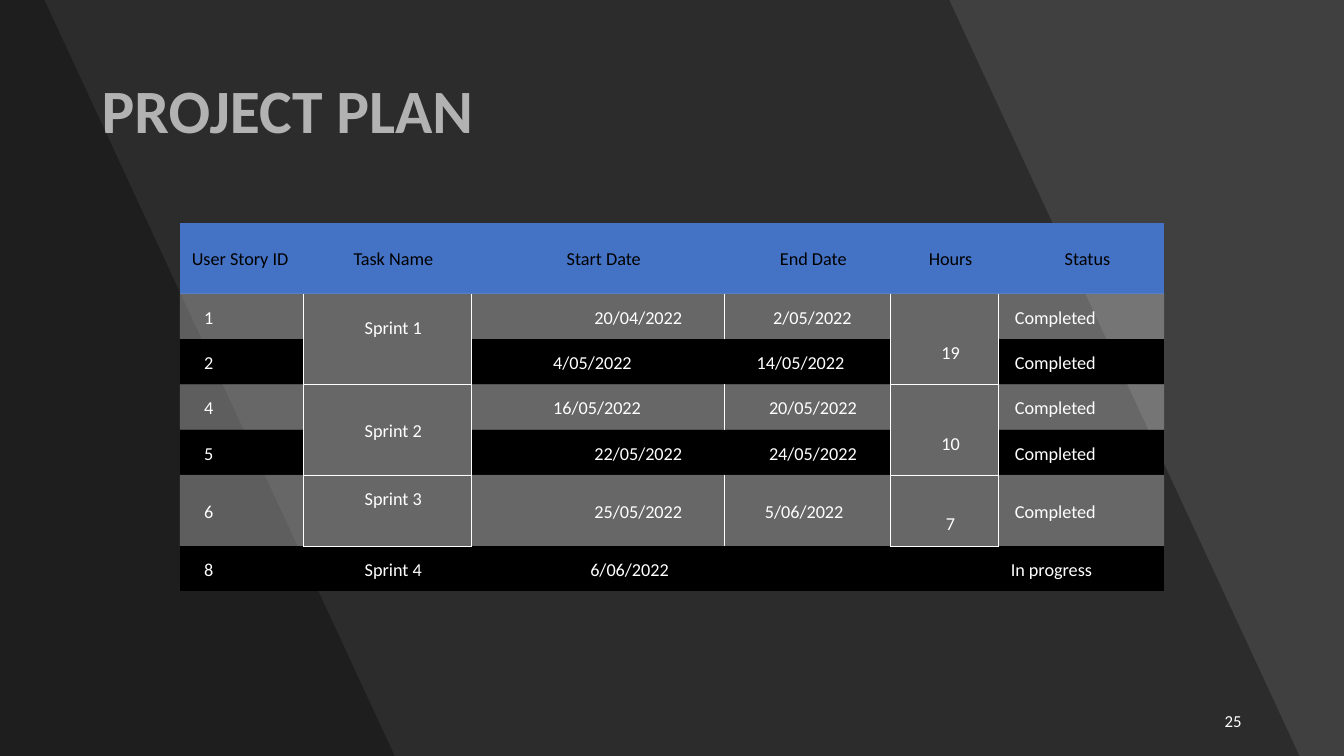
from pptx import Presentation
from pptx.dml.color import RGBColor
from pptx.enum.text import MSO_ANCHOR as Anchor, PP_ALIGN as Align
from pptx.oxml import parse_xml
from pptx.oxml.ns import nsdecls
from pptx.util import Inches, Pt
from lxml.etree import SubElement

FONT = "Calibri"
WHITE = RGBColor(0xFF, 0xFF, 0xFF)
BLACK = RGBColor(0x00, 0x00, 0x00)
CHARCOAL = RGBColor(0x40, 0x40, 0x40)
BLUE = RGBColor(0x44, 0x72, 0xC4)
MIST = RGBColor(0xF2, 0xF2, 0xF2)

# The slide is a grid of 160 columns by 90 rows with square units
COLUMNS, ROWS = 160, 90
UNIT = Inches(7.5) / ROWS
PAD, GAP = 1.44, 1.08      # cell insets: left, top and bottom
STEP = 0.49                # one step of indent inside a cell
LINE = 3                   # height of one table text line


def grid(*units):
    return [round(unit * UNIT) for unit in units]


class SlideBuilder:
    def __init__(self, deck, background):
        self.page = deck.slides.add_slide(deck.slide_layouts[5])
        self.page.background.fill.solid()
        self.page.background.fill.fore_color.rgb = background

    def paint(self, fill, element, color, opacity=100):
        fill.solid()
        fill.fore_color.rgb = color
        if opacity < 100:
            tint = element.xpath("./*/a:solidFill/a:srgbClr")[0]
            name = tint.tag.replace("srgbClr", "alpha")
            SubElement(tint, name).set("val", str(opacity * 1000))

    def set_text(self, frame, text, size, color, align=Align.LEFT, bold=False, spacing=1.0):
        para = frame.paragraphs[0]
        para.text = text
        para.alignment = align
        para.line_spacing = spacing
        font = para.font
        font.name, font.size, font.bold = FONT, Pt(size), bold
        font.color.rgb = color

    def title(self, text, *place):
        box = self.page.shapes.title
        box.left, box.top, box.width, box.height = grid(*place)
        box.text_frame.vertical_anchor = Anchor.MIDDLE
        self.set_text(box.text_frame, text, 44, WHITE, bold=True, spacing=0.9)

    def text(self, text, *place, size, align):
        box = self.page.shapes.add_textbox(*grid(*place))
        box.text_frame.word_wrap = True
        box.text_frame.vertical_anchor = Anchor.MIDDLE
        self.set_text(box.text_frame, text, size, WHITE, align)

    def slanted_panel(self, top_edge, bottom_edge):
        outline = self.page.shapes.build_freeform(0, 0, scale=1.0)
        corners = [(top_edge, 0), (bottom_edge, ROWS), (0, ROWS)]
        outline.add_line_segments([grid(*corner) for corner in corners])
        panel = outline.convert_to_shape()
        panel.shadow.inherit = False
        panel.line.fill.background()
        self.paint(panel.fill, panel.element, BLACK, 30)

    def table(self, left, top, widths, heights):
        frame = self.page.shapes.add_table(
            len(heights), len(widths), *grid(left, top, sum(widths), sum(heights)))
        # The plain style has neither bands nor borders
        style = frame.element.xpath(".//a:tableStyleId")[0]
        style.text = "{2D5ABB26-0587-4C30-8999-92F81FD0307C}"
        table = frame.table
        table.first_row = table.horz_banding = False
        for column, width in zip(table.columns, grid(*widths)):
            column.width = width
        for row, height in zip(table.rows, grid(*heights)):
            row.height = height
        return table

    def cell(self, cell, text, color, align=Align.LEFT, indent=0, above=0, below=0):
        if not text:
            return
        cell.vertical_anchor = Anchor.MIDDLE
        cell.margin_left, cell.margin_top, cell.margin_right, cell.margin_bottom = grid(
            PAD + indent * STEP, GAP + above * LINE, 0, GAP + below * LINE)
        self.set_text(cell.text_frame, text, 13, color, align, spacing=1.15)

    def borders(self, cell, sides):
        properties = cell._tc.get_or_add_tcPr()
        for position, side in enumerate(sides):
            properties.insert(position, parse_xml(
                f'<a:ln{side} {nsdecls("a")} w="{Pt(0.5)}"><a:solidFill>'
                f'<a:srgbClr val="{WHITE}"/></a:solidFill></a:ln{side}>'))


deck = Presentation()
deck.slide_width, deck.slide_height = grid(COLUMNS, ROWS)
slide = SlideBuilder(deck, CHARCOAL)

# Slanted background and title
slide.slanted_panel(113, 154.7)
slide.slanted_panel(5.3, 47)
slide.title("PROJECT PLAN", 10.9, 4.8, 138.1, 17.4)

# Project plan: each date comes with its indent in steps
HEADINGS = ["User Story ID", "Task Name", "Start Date", "End Date", "Hours", "Status"]
STORIES = [
    ("1", "Sprint 1", ("20/04/2022", 27), ("2/05/2022", 9), "19", "Completed"),
    ("2", "", ("4/05/2022", 17), ("14/05/2022", 5), "", "Completed"),
    ("4", "Sprint 2", ("16/05/2022", 17), ("20/05/2022", 8), "10", "Completed"),
    ("5", "", ("22/05/2022", 27), ("24/05/2022", 8), "", "Completed"),
    ("6", "Sprint 3", ("25/05/2022", 27), ("5/06/2022", 7), "7", "Completed"),
    ("8", "Sprint 4", ("6/06/2022", 26), ("", 0), "", "In progress"),
]
TASK, HOURS, LAST = 1, 4, 5
TALL, SHORT = 8.45, 5.4
plan = slide.table(21.4, 26.5, [14.7, 20, 30.1, 19.8, 12.9, 19.7],
                   [TALL, SHORT, SHORT, SHORT, SHORT, TALL, SHORT])

for column, heading in enumerate(HEADINGS):
    cell = plan.cell(0, column)
    slide.paint(cell.fill, cell._tc, BLUE)
    slide.cell(cell, heading, BLACK, Align.CENTER if column else Align.LEFT)

for row, (story, task, start, end, hours, status) in enumerate(STORIES, 1):
    light = row % 2 == 1
    for column in range(len(HEADINGS)):
        cell = plan.cell(row, column)
        slide.paint(cell.fill, cell._tc, *((MIST, 30) if light else (BLACK,)))
        if light:
            sides = "L" * (column > 0) + "R" * (column < LAST)
            slide.borders(cell, sides + "T" * (column in (TASK, HOURS) and row > 1))
    slide.cell(plan.cell(row, 0), story, WHITE, indent=3)
    slide.cell(plan.cell(row, TASK), task, WHITE, Align.CENTER,
               below=int(task in ("Sprint 1", "Sprint 3")))
    for column, (date, indent) in enumerate((start, end), TASK + 1):
        slide.cell(plan.cell(row, column), date, WHITE, indent=indent)
    slide.cell(plan.cell(row, HOURS), hours, WHITE, Align.CENTER, above=1)
    slide.cell(plan.cell(row, LAST), status, WHITE, indent=int(status == "Completed"))

# The first two sprints cover two stories each
for row in (1, 3):
    for column in (TASK, HOURS):
        plan.cell(row, column).merge(plan.cell(row + 1, column))

# Slide number
slide.text("25", 113, 83.4, 36, 4.8, size=12, align=Align.RIGHT)

deck.save("out.pptx")
